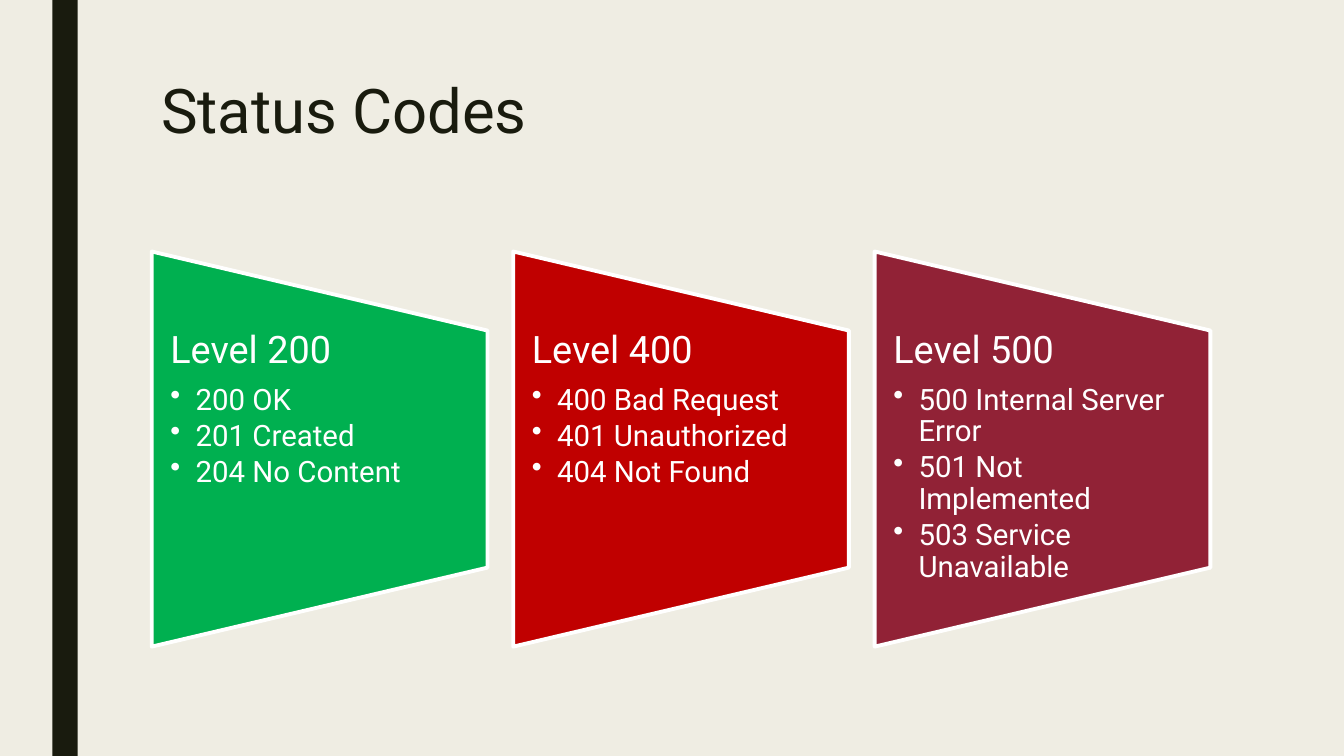
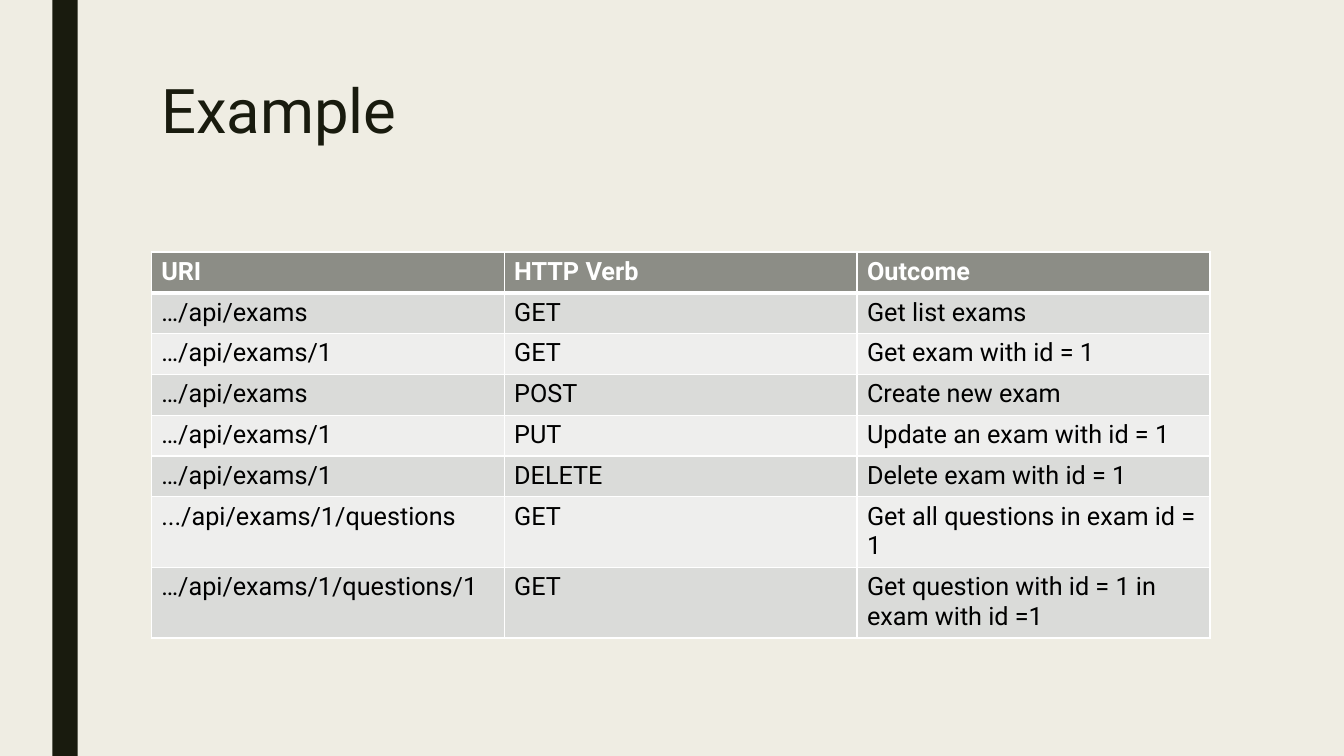
from lxml import etree
from pptx import Presentation
from pptx.dml.color import RGBColor
from pptx.enum import shapes
from pptx.oxml import ns
from pptx.util import Inches, Pt

FONT = "Roboto"
CREAM = RGBColor(0xEF, 0xED, 0xE3)
INK = RGBColor(0x19, 0x1B, 0x0E)
WHITE = RGBColor(0xFF, 0xFF, 0xFF)
BLACK = RGBColor(0, 0, 0)
GREEN = RGBColor(0x00, 0xB0, 0x50)
RED = RGBColor(0xC0, 0x00, 0x00)
WINE = RGBColor(0x91, 0x22, 0x36)
HEADER = RGBColor(0x8C, 0x8D, 0x86)
DARK_ROW = RGBColor(0xDA, 0xDB, 0xD9)
LIGHT_ROW = RGBColor(0xEE, 0xEE, 0xED)

prs = Presentation()
prs.slide_width, prs.slide_height = Inches(13.33), Inches(7.5)

# Shared background
bg = prs.slide_master.background.fill
bg.solid()
bg.fore_color.rgb = CREAM


def style(p, size, color, bold=False):
    for r in p.runs:
        r.font.name, r.font.size, r.font.bold = FONT, Pt(size), bold
        r.font.color.rgb = color


def add_slide(title):
    """Add a slide with the side band and its title."""
    s = prs.slides.add_slide(prs.slide_layouts[6])
    band = s.shapes.add_shape(shapes.MSO_SHAPE.RECTANGLE, Inches(0.52), 0,
                              Inches(0.25), prs.slide_height)
    band.shadow.inherit = False
    band.fill.solid()
    band.fill.fore_color.rgb = INK
    band.line.fill.background()
    tf = s.shapes.add_textbox(Inches(1.5), Inches(0.75), Inches(10.5), Inches(1.62)).text_frame
    tf.word_wrap = True
    p = tf.paragraphs[0]
    p.text = title
    p.line_spacing = 0.89
    style(p, 44, INK)
    return s


# Slide 1: one sideways trapezoid per status level
s = add_slide("Status Codes")
levels = [
    ("Level 200", GREEN, ["200 OK", "201 Created", "204 No Content"]),
    ("Level 400", RED, ["400 Bad Request", "401 Unauthorized", "404 Not Found"]),
    ("Level 500", WINE, ["500 Internal Server Error", "501 Not Implemented",
                         "503 Service Unavailable"]),
]
for i, (level, color, codes) in enumerate(levels):
    left = 1.5 + 3.585 * i
    sp = s.shapes.add_shape(shapes.MSO_SHAPE.FLOWCHART_MANUAL_OPERATION, Inches(left - 0.29),
                            Inches(2.79), Inches(3.92), Inches(3.33))
    sp.rotation = 270
    sp.shadow.inherit = False
    sp.fill.solid()
    sp.fill.fore_color.rgb = color
    sp.line.color.rgb = WHITE
    sp.line.width = Pt(2.75)

    tf = s.shapes.add_textbox(Inches(left), Inches(3.28), Inches(3.33), Inches(2.35)).text_frame
    tf.word_wrap = True
    tf.margin_left = tf.margin_right = Inches(0.19)
    tf.margin_top = tf.margin_bottom = 0
    p = tf.paragraphs[0]
    p.text = level
    p.line_spacing, p.space_after = 0.9, Pt(9.5)
    style(p, 27, WHITE)
    for code in codes:
        p = tf.add_paragraph()
        p.text = code
        p.level = 1
        p.line_spacing, p.space_after = 0.9, Pt(3)
        style(p, 21, WHITE)
        pPr = p._p.get_or_add_pPr()
        pPr.set("marL", str(Inches(0.25)))
        pPr.set("indent", str(Inches(-0.25)))
        etree.SubElement(pPr, ns.qn("a:buChar"), char="•")

# Slide 2: table of requests
s = add_slide("Example")
rows = [
    ("URI", "HTTP Verb", "Outcome"),
    ("…/api/exams", "GET", "Get list exams"),
    ("…/api/exams/1", "GET", "Get exam with id = 1"),
    ("…/api/exams", "POST", "Create new exam"),
    ("…/api/exams/1", "PUT", "Update an exam with id = 1"),
    ("…/api/exams/1", "DELETE", "Delete exam with id = 1"),
    (".../api/exams/1/questions", "GET", "Get all questions in exam id = 1"),
    ("…/api/exams/1/questions/1", "GET", "Get question with id = 1 in exam with id =1"),
]
table = s.shapes.add_table(len(rows), 3, Inches(1.5), Inches(2.5), Inches(10.5),
                           Inches(0.405 * len(rows))).table
for i, row in enumerate(rows):
    fill = HEADER if i == 0 else DARK_ROW if i % 2 else LIGHT_ROW
    for j, value in enumerate(row):
        cell = table.cell(i, j)
        cell.text = value
        style(cell.text_frame.paragraphs[0], 18, BLACK if i else WHITE, bold=i == 0)
        # White borders, thicker under the header
        tcPr = cell._tc.get_or_add_tcPr()
        for side in "LRTB":
            thick = (i, side) in [(0, "B"), (1, "T")]
            ln = etree.SubElement(tcPr, ns.qn("a:ln" + side), w=str(Pt(3 if thick else 1)))
            line_fill = etree.SubElement(ln, ns.qn("a:solidFill"))
            etree.SubElement(line_fill, ns.qn("a:srgbClr"), val=str(WHITE))
        cell.fill.solid()
        cell.fill.fore_color.rgb = fill

prs.save("out.pptx")
